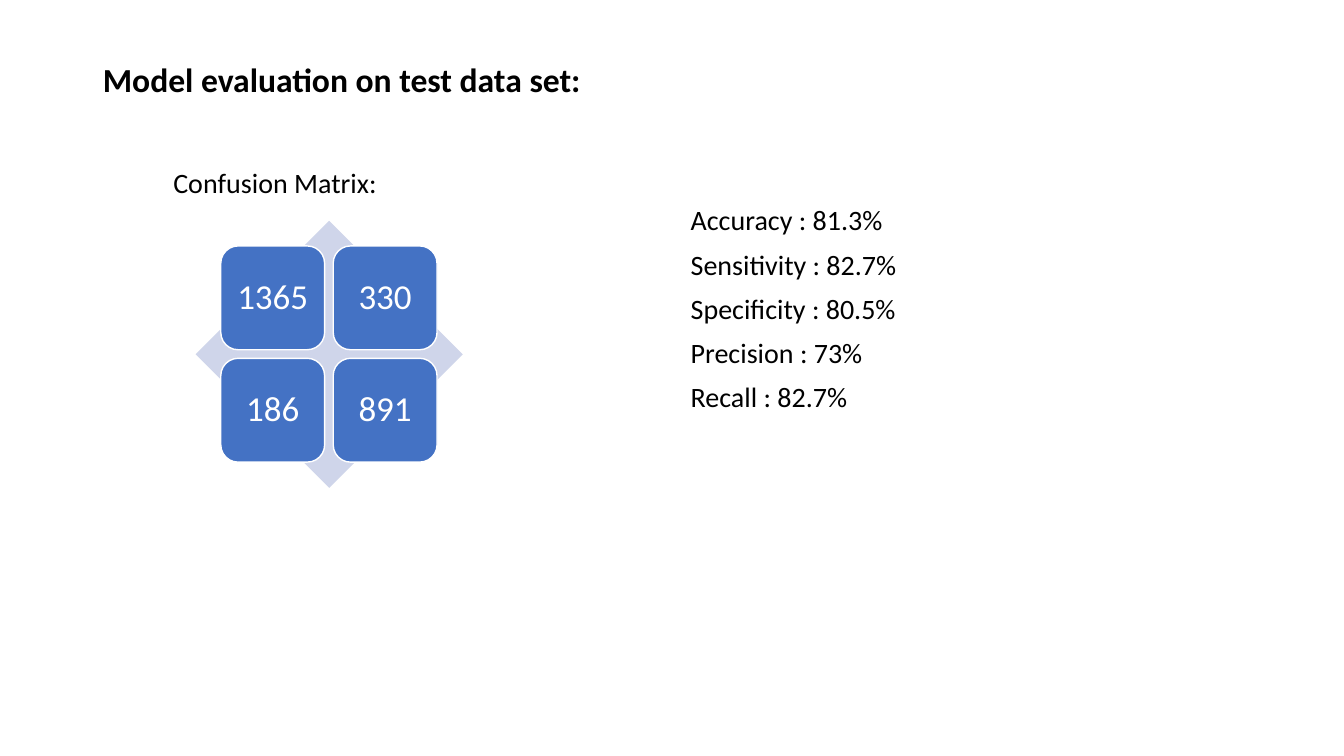
from dataclasses import dataclass

from lxml import etree
from pptx import Presentation, util as u
from pptx.dml.color import RGBColor
from pptx.enum import shapes, text
from pptx.oxml.ns import qn


@dataclass(frozen=True)
class Theme:
    font: str = "Calibri"
    ink: str = "000000"
    paper: str = "FFFFFF"
    tile: str = "4472C4"
    diamond: str = "CFD5EA"
    title_size: int = 24
    text_size: int = 20
    tile_size: int = 25


theme = Theme()


def place(shape, left, top, width, height):
    shape.left, shape.top = u.Inches(left), u.Inches(top)
    shape.width, shape.height = u.Inches(width), u.Inches(height)


def write(shape, lines, size, color, align=text.PP_ALIGN.LEFT, bold=False, spacing=0.9, before=0):
    frame = shape.text_frame
    frame.text = "\n".join(lines)
    frame.word_wrap = True
    frame.auto_size = text.MSO_AUTO_SIZE.NONE
    for para in frame.paragraphs:
        para.alignment = align
        para.line_spacing = spacing
        para.space_before = u.Pt(before)
        for span in para.runs:
            span.font.name = theme.font
            span.font.size = u.Pt(size)
            span.font.bold = bold
            span.font.color.rgb = RGBColor.from_string(color)


deck = Presentation()
deck.slide_width, deck.slide_height = u.Inches(13.33), u.Inches(7.5)
page = deck.slides.add_slide(deck.slide_layouts.get_by_name("Title and Content"))

# Title
title = page.shapes.title
place(title, 0.92, 0.4, 11.5, 0.82)
write(title, ["Model evaluation on test data set:"], theme.title_size, theme.ink, bold=True)
title.text_frame.vertical_anchor = text.MSO_ANCHOR.MIDDLE

# Confusion matrix: a diamond with a centred grid of tiles over it
diamond_left, diamond_top, diamond_side = 1.94, 2.19, 2.65
tile_side, pitch, margin = 1.03, 1.115, 0.25
matrix = [["1365", "330"], ["186", "891"]]

diamond = page.shapes.add_shape(shapes.MSO_SHAPE.DIAMOND, 0, 0, 0, 0)
place(diamond, diamond_left, diamond_top, diamond_side, diamond_side)
diamond.shadow.inherit = False
diamond.fill.solid()
diamond.fill.fore_color.rgb = RGBColor.from_string(theme.diamond)
diamond.line.fill.background()

for row, counts in enumerate(matrix):
    for column, count in enumerate(counts):
        tile = page.shapes.add_shape(shapes.MSO_SHAPE.ROUNDED_RECTANGLE, 0, 0, 0, 0)
        place(tile, diamond_left + margin + column * pitch,
              diamond_top + margin + row * pitch, tile_side, tile_side)
        tile.shadow.inherit = False
        tile.fill.solid()
        tile.fill.fore_color.rgb = RGBColor.from_string(theme.tile)
        tile.line.color.rgb = RGBColor.from_string(theme.paper)
        tile.line.width = u.Pt(1)
        write(tile, [count], theme.tile_size, theme.paper, text.PP_ALIGN.CENTER)
        frame = tile.text_frame
        frame.vertical_anchor = text.MSO_ANCHOR.MIDDLE
        frame.margin_left = frame.margin_right = u.Inches(0.05)

# Scores
scores = {"Accuracy": "81.3%", "Sensitivity": "82.7%", "Specificity": "80.5%",
          "Precision": "73%", "Recall": "82.7%"}
body = page.placeholders[1]
place(body, 6.75, 2, 5.67, 4.76)
write(body, [f"{name} : {score}" for name, score in scores.items()],
      theme.text_size, theme.ink, before=10)
for para in body.text_frame.paragraphs:
    properties = para._p.get_or_add_pPr()
    properties.set("marL", "0")
    properties.set("indent", "0")
    etree.SubElement(properties, qn("a:buNone"))

# Matrix heading
heading = page.shapes.add_textbox(0, 0, 0, 0)
place(heading, 1.62, 1.59, 3.39, 0.44)
write(heading, ["Confusion Matrix:"], theme.text_size, theme.ink, spacing=1.0)

deck.save("out.pptx")
